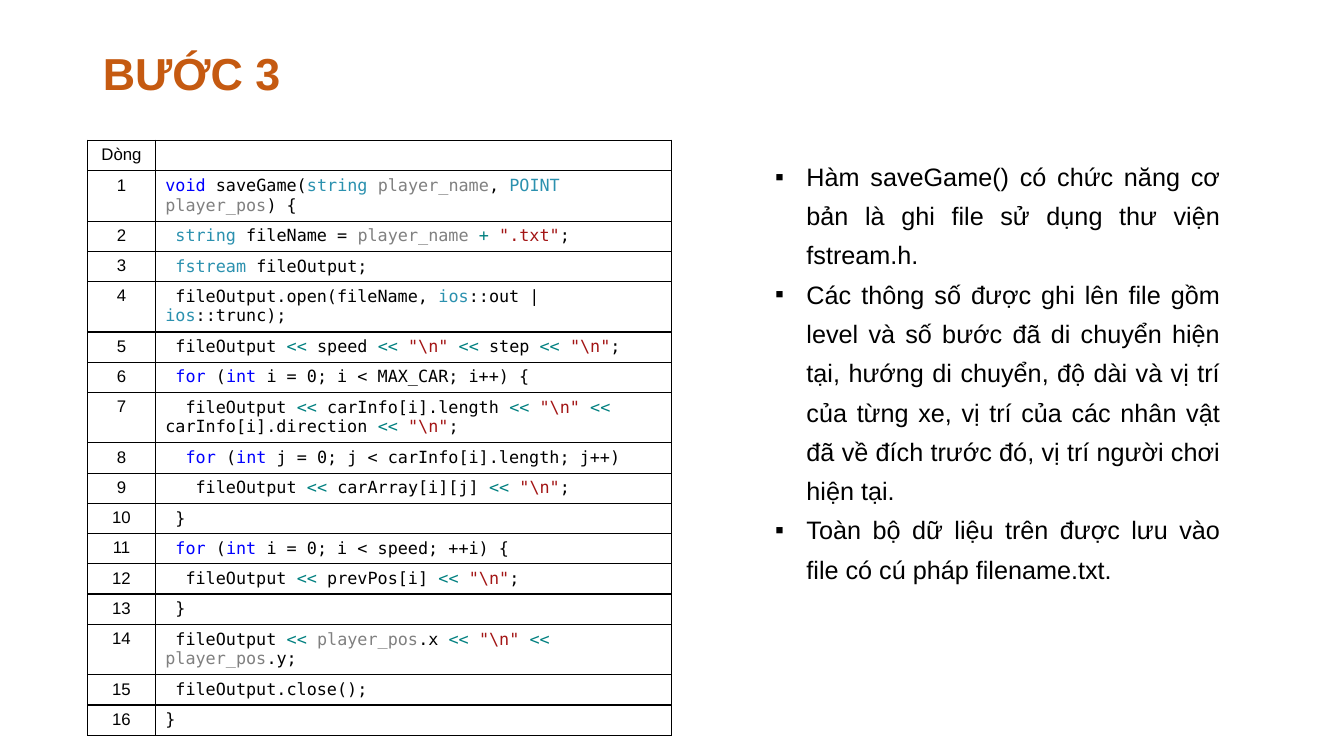
import pptx
import pptx.dml.color
import pptx.enum.text
import pptx.oxml.ns
import pptx.util
from lxml import etree
from pptx.util import Inches

TEXT_FONT, CODE_FONT = "Arial", "DejaVu Sans Mono"
BLACK, ORANGE = "000000", "C55A11"

# Colour of each kind of code token
TOKEN_GROUPS = {
    "0000FF": ["void", "for", "int"],
    "2B91AF": ["string", "POINT", "fstream", "ios"],
    "808080": ["player_name", "player_pos"],
    "008080": ["<<", "+ "],
    "A31515": [r'"\n"', '".txt"'],
}
TOKENS = {token: colour for colour, group in TOKEN_GROUPS.items() for token in group}

CODE = r'''void saveGame(string player_name, POINT player_pos) {
 string fileName = player_name + ".txt";
 fstream fileOutput;
 fileOutput.open(fileName, ios::out | ios::trunc);
 fileOutput << speed << "\n" << step << "\n";
 for (int i = 0; i < MAX_CAR; i++) {
  fileOutput << carInfo[i].length << "\n" << carInfo[i].direction << "\n";
  for (int j = 0; j < carInfo[i].length; j++)
   fileOutput << carArray[i][j] << "\n";
 }
 for (int i = 0; i < speed; ++i) {
  fileOutput << prevPos[i] << "\n";
 }
 fileOutput << player_pos.x << "\n" << player_pos.y;
 fileOutput.close();
}'''.split("\n")
WRAPPED_LINES = {1, 4, 7, 14}

NOTES = [
    "Hàm saveGame() có chức năng cơ bản là ghi file sử dụng thư viện fstream.h.",
    "Các thông số được ghi lên file gồm level và số bước đã di chuyển hiện tại, "
    "hướng di chuyển, độ dài và vị trí của từng xe, vị trí của các nhân vật đã về "
    "đích trước đó, vị trí người chơi hiện tại.",
    "Toàn bộ dữ liệu trên được lưu vào file có cú pháp filename.txt.",
]


def rgb(value):
    return pptx.dml.color.RGBColor.from_string(value)


def add_element(parent, tag, **attributes):
    return etree.SubElement(parent, pptx.oxml.ns.qn(tag), attributes)


def split_tokens(line):
    """Yield (text, colour) pieces of a line of code."""
    while line:
        found = [(line.find(token), token) for token in TOKENS if token in line]
        start, token = min(found, default=(len(line), ""))
        if start:
            yield line[:start], BLACK
        if token:
            yield token, TOKENS[token]
        line = line[start + len(token):]


class SlideBuilder:
    align = pptx.enum.text.PP_ALIGN

    def __init__(self, deck):
        self.page = deck.slides.add_slide(deck.slide_layouts[5])

    def style(self, span, size, colour=BLACK, name=TEXT_FONT, bold=False):
        span.font.size = pptx.util.Pt(size)
        span.font.name = name
        span.font.bold = bold
        span.font.color.rgb = rgb(colour)

    def title(self, text, left, top, width, height):
        box = self.page.shapes.title
        box.left, box.top, box.width, box.height = map(Inches, (left, top, width, height))
        frame = box.text_frame
        frame.text = text
        frame.word_wrap = False
        frame.auto_size = pptx.enum.text.MSO_AUTO_SIZE.NONE
        para = frame.paragraphs[0]
        para.alignment = self.align.LEFT
        self.style(para.runs[0], 32, ORANGE, bold=True)

    def cell(self, cell, pieces, name=TEXT_FONT, alignment=None):
        properties = cell._tc.get_or_add_tcPr()
        for side in ("a:lnL", "a:lnR", "a:lnT", "a:lnB"):
            line = add_element(properties, side, w=str(pptx.util.Pt(0.96)))
            add_element(add_element(line, "a:solidFill"), "a:srgbClr", val=BLACK)
        cell.fill.background()
        para = cell.text_frame.paragraphs[0]
        para.alignment = alignment or self.align.LEFT
        for text, colour in pieces:
            span = para.add_run()
            span.text = text
            self.style(span, 12, colour, name)
        if not pieces:
            add_element(para._p, "a:endParaRPr", sz="1200")

    def code_table(self, heading, lines, left, top, widths):
        heights = [0.5 if row in WRAPPED_LINES else 0.3 for row in range(len(lines) + 1)]
        table = self.page.shapes.add_table(
            len(heights), len(widths), Inches(left), Inches(top),
            Inches(sum(widths)), Inches(sum(heights))).table
        table.first_row = table.horz_banding = False
        for column, width in zip(table.columns, widths):
            column.width = Inches(width)
        for number, height in enumerate(heights):
            table.rows[number].height = Inches(height)
            label = str(number) if number else heading
            pieces = list(split_tokens(lines[number - 1])) if number else []
            self.cell(table.cell(number, 0), [(label, BLACK)], alignment=self.align.CENTER)
            self.cell(table.cell(number, 1), pieces, CODE_FONT)

    def bullets(self, items, left, top, width, height):
        box = self.page.shapes.add_textbox(*map(Inches, (left, top, width, height)))
        frame = box.text_frame
        frame.text = "\n".join(items)
        frame.word_wrap = True
        for para in frame.paragraphs:
            properties = para._p.get_or_add_pPr()
            properties.set("marL", str(Inches(0.31)))
            properties.set("indent", str(Inches(-0.31)))
            add_element(properties, "a:buFont", typeface=TEXT_FONT)
            add_element(properties, "a:buChar", char="▪")
            para.alignment = self.align.JUSTIFY
            para.line_spacing = 1.3
            self.style(para.runs[0], 18)


def main():
    deck = pptx.Presentation()
    deck.slide_width, deck.slide_height = Inches(13.33), Inches(7.5)
    slide = SlideBuilder(deck)

    # Heading
    slide.title("BƯỚC 3", 0.92, 0.4, 2.11, 0.64)

    # Numbered code on the left
    slide.code_table("Dòng", CODE, 0.87, 1.39, [0.67, 5.12])

    # Explanation on the right
    slide.bullets(NOTES, 7.59, 1.46, 4.61, 4.78)

    deck.save("out.pptx")


if __name__ == "__main__":
    main()
